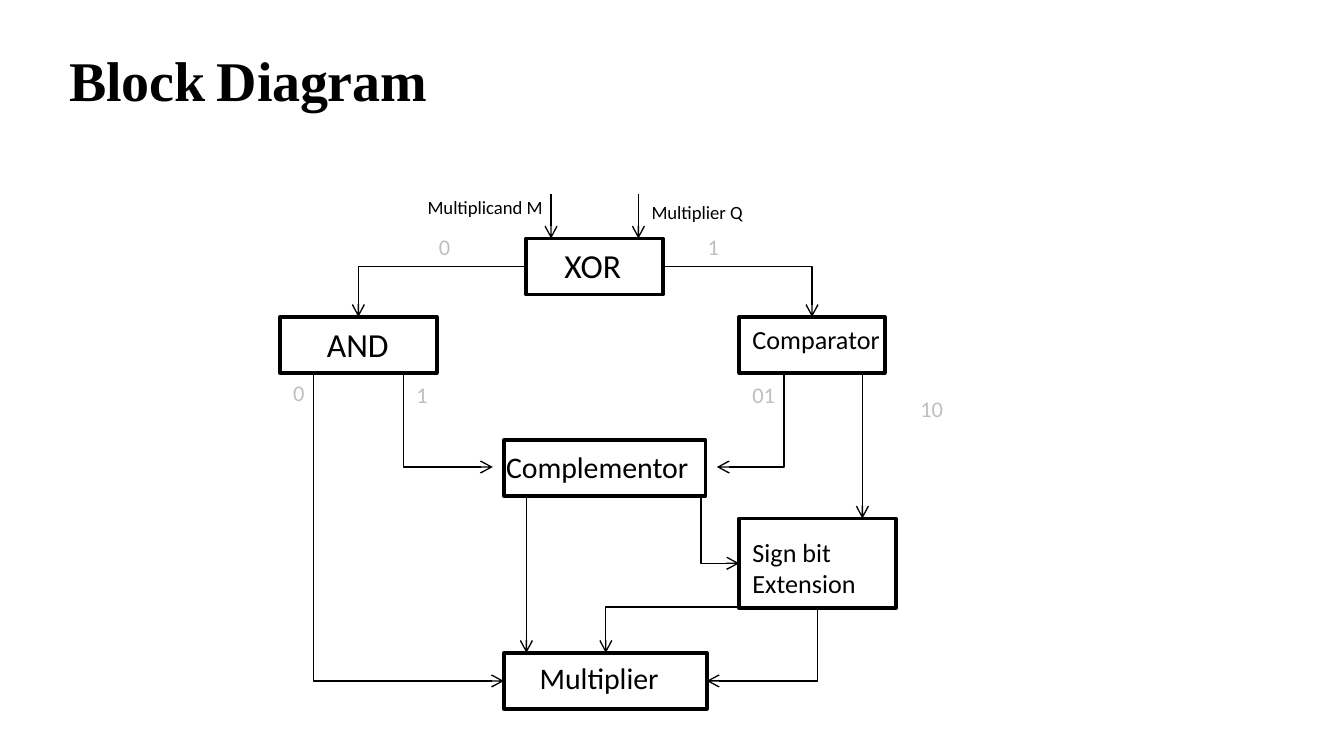
from pptx import Presentation
from pptx.dml.color import RGBColor
from pptx.enum.shapes import MSO_CONNECTOR, MSO_SHAPE
from pptx.enum.text import MSO_AUTO_SIZE
from pptx.oxml.ns import qn
from pptx.util import Pt
from lxml import etree

PX = 7620  # 120 px to the inch
RECTANGLE = MSO_SHAPE.RECTANGLE
STRAIGHT, ELBOW = MSO_CONNECTOR.STRAIGHT, MSO_CONNECTOR.ELBOW
FIT_SHAPE = MSO_AUTO_SIZE.SHAPE_TO_FIT_TEXT
COLORS = {"ink": "000000", "paper": "FFFFFF", "bit": "BFBFBF"}


def add_text(place, lines, color="ink"):
    """Add a text box; each line is a list of (text, font values) spans."""
    box = page.shapes.add_textbox(*(v * PX for v in place))
    frame = box.text_frame
    frame.word_wrap = True
    frame.auto_size = FIT_SHAPE
    for index, line in enumerate(lines):
        para = frame.add_paragraph() if index else frame.paragraphs[0]
        for text, font_values in line:
            span = para.add_run()
            span.text = text
            for name, value in {"name": "Calibri", **font_values}.items():
                setattr(span.font, name, value)
            span.font.color.rgb = RGBColor.from_string(COLORS[color])
    return frame


def add_arrow(kind, *ends):
    """Add a connector with an arrowhead at its end and return its properties."""
    arrow = page.shapes.add_connector(kind, *(round(v * PX) for v in ends))
    arrow.line.color.rgb = RGBColor.from_string(COLORS["ink"])
    arrow.line.width = Pt(0.75)
    properties = arrow._element.spPr
    etree.SubElement(properties.find(qn("a:ln")), qn("a:tailEnd"), type="arrow")
    etree.SubElement(properties, qn("a:effectLst"))
    return properties


deck = Presentation()
deck.slide_width, deck.slide_height = 1200 * PX, 675 * PX
page = deck.slides.add_slide(deck.slide_layouts[6])

# Title, with slightly tightened words
word = {"name": "Times New Roman", "size": Pt(30), "bold": True}
gap = {"size": Pt(27), "bold": True}
title = add_text((62, 41, 716, 60), [[("Block", word), (" ", gap), ("Diagram", word)]])
for side in ("left", "top", "right", "bottom"):
    setattr(title, f"margin_{side}", 0)
for span in title.paragraphs[0].runs[::2]:
    span.font._element.set("spc", "-10")

# Blocks: rectangle, then label place, lines and size
BLOCKS = [
    ((470, 213, 122, 50), (492, 213, 100, 48), ["XOR"], 18),
    ((250, 283, 140, 50), (280, 283, 90, 50), ["AND"], 18),
    ((660, 283, 130, 50), (660, 283, 160, 41), ["Comparator"], 14),
    ((450, 393, 180, 50), (440, 395, 200, 44), ["Complementor"], 16),
    ((660, 463, 140, 80), (660, 473, 140, 68), ["Sign bit", "Extension"], 14),
    ((450, 583, 181, 50), (470, 583, 160, 44), ["Multiplier"], 16),
]
for rectangle, label, lines, size in BLOCKS:
    block = page.shapes.add_shape(RECTANGLE, *(v * PX for v in rectangle))
    block.shadow.inherit = False
    block.fill.solid()
    block.fill.fore_color.rgb = RGBColor.from_string(COLORS["paper"])
    block.line.color.rgb = RGBColor.from_string(COLORS["ink"])
    block.line.width = Pt(2)
    add_text(label, [[(line, {"size": Pt(size)})] for line in lines])

# Input names
for left, top, name in [(370, 169, "Multiplicand M"), (570, 173, "Multiplier Q")]:
    add_text((left, top, 130, 32), [[(name, {"size": Pt(10)})]])

# Straight arrows pointing down
for x, top, bottom in [(492, 173, 213), (570, 173, 213), (770, 333, 463), (470, 443, 583)]:
    add_arrow(STRAIGHT, x, top, x, bottom)

# Arrows that run sideways, then down
for ends in [(470, 238, 320, 283), (592, 238, 725, 283), (700, 542, 541, 583)]:
    properties = add_arrow(ELBOW, *ends)
    properties.find(qn("a:prstGeom")).set("prst", "bentConnector2")

# Arrows that run down, then sideways: the same bend, turned a quarter about its centre
for x1, y1, x2, y2 in [
    (280, 333, 450, 608),
    (360, 333, 440, 417),
    (700, 333, 640, 417),
    (730, 543, 631, 608),
]:
    direction = 1 if x2 > x1 else -1
    center_x, center_y = (x1 + x2) / 2, (y1 + y2) / 2
    half_run, half_drop = abs(x2 - x1) / 2, (y2 - y1) / 2
    properties = add_arrow(
        ELBOW,
        center_x + direction * half_drop, center_y - half_run,
        center_x - direction * half_drop, center_y + half_run,
    )
    properties.find(qn("a:prstGeom")).set("prst", "bentConnector2")
    quarter_turn = 270 if direction == 1 else 90
    properties.find(qn("a:xfrm")).set("rot", str(quarter_turn * 60000))

# Complementor to sign bit extension
add_arrow(ELBOW, 592, 443, 660, 503)

# Bit values on the branches
for left, top, width, bits in [
    (380, 202, 30, "0"),
    (620, 202, 40, "1"),
    (250, 333, 30, "0"),
    (660, 334, 55, "01"),
    (810, 347, 70, "10"),
    (360, 334, 40, "1"),
]:
    add_text((left, top, width, 36), [[(bits, {"size": Pt(12)})]], "bit")

deck.save("out.pptx")
